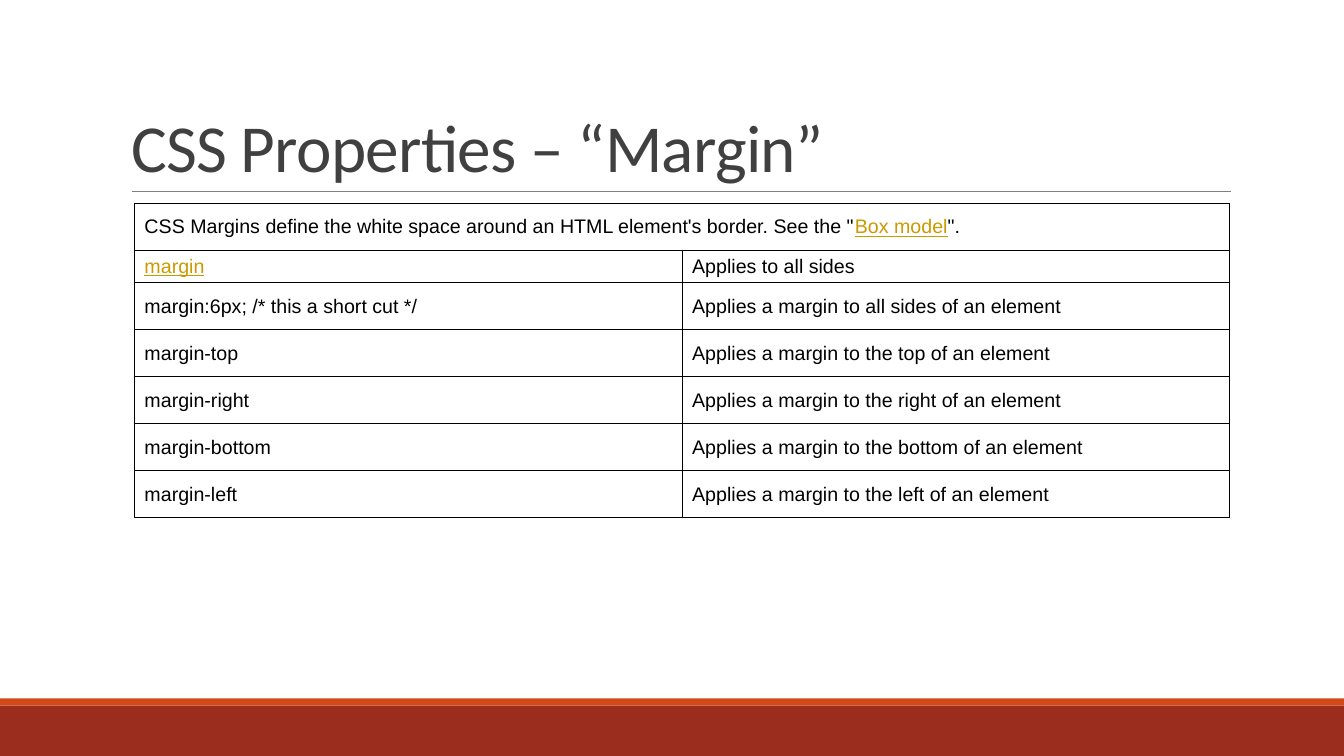
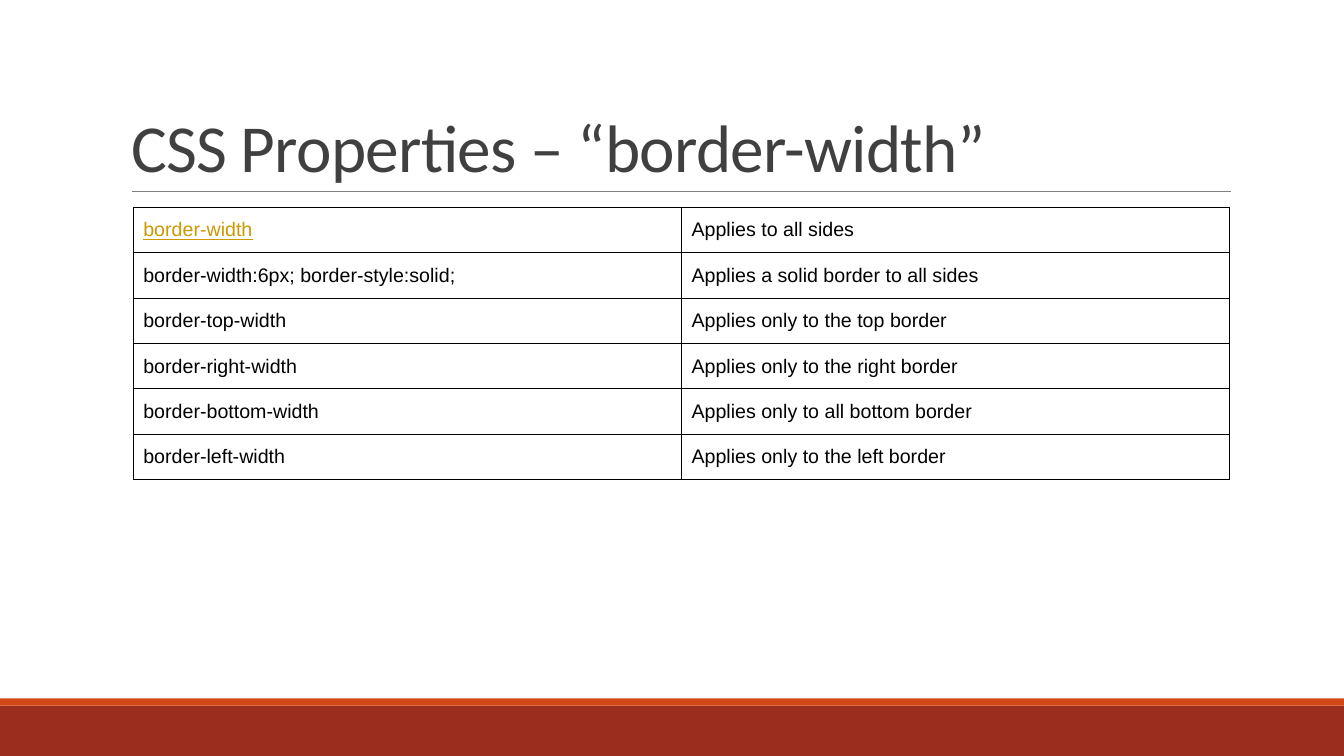
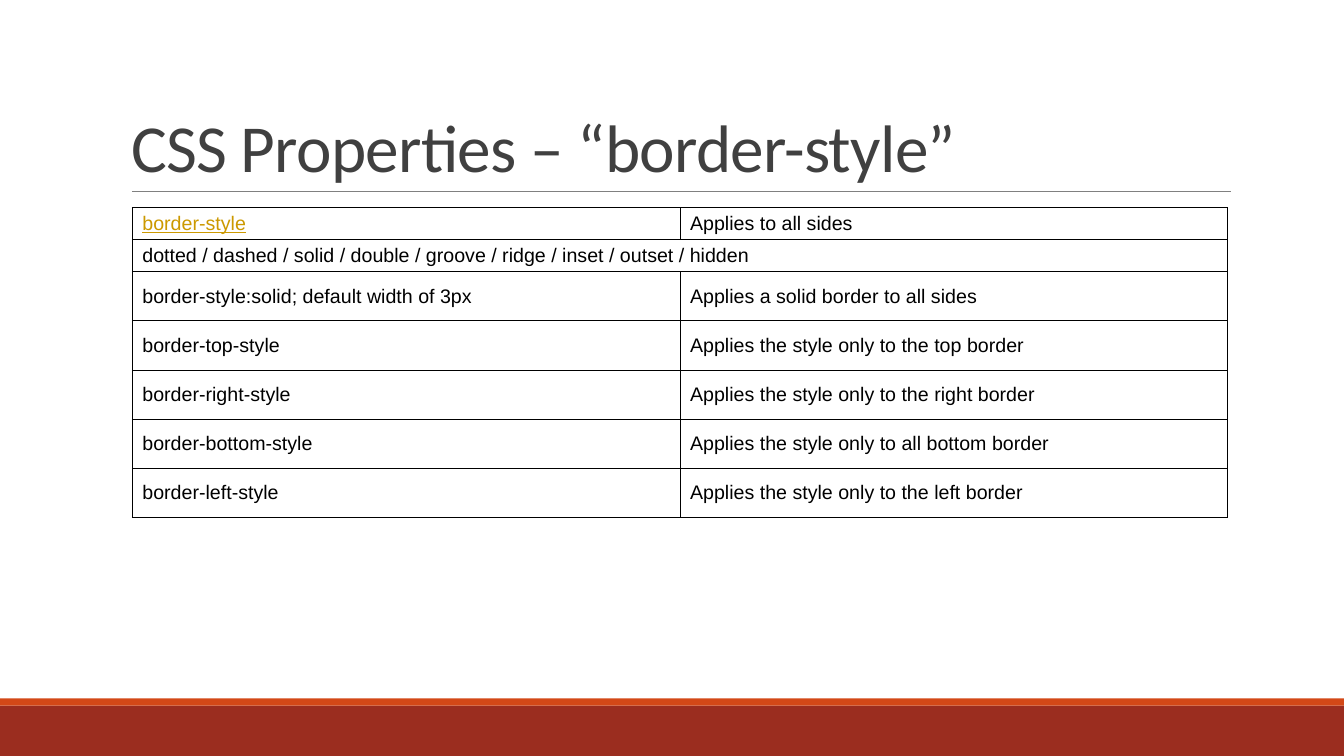
from dataclasses import dataclass
from typing import Optional

from lxml.etree import SubElement
from pptx import Presentation
from pptx.dml.color import RGBColor
from pptx.enum.shapes import MSO_CONNECTOR, MSO_SHAPE
from pptx.enum.text import MSO_ANCHOR, MSO_AUTO_SIZE, PP_ALIGN
from pptx.oxml.ns import qn
from pptx.slide import Slide
from pptx.table import Table, _Cell
from pptx.util import Pt

COLORS = {
    "page": "FFFFFF",
    "band": "9B2D1F",
    "stripe": "D34817",
    "rule": "808080",
    "title": "404040",
    "body": "000000",
    "link": "CC9900",
    "border": "000000",
}
SLIDE_WIDTH, SLIDE_HEIGHT = 960, 540
BAND_TOP, STRIPE_TOP = 504, 498.9
RULE_LEFT, RULE_RIGHT, RULE_TOP = 94.3, 879, 136.8
TITLE_BOX = {"left": 86.4, "top": 22.4, "width": 792, "height": 114.4}
TITLE_FRAME = {
    "word_wrap": True,
    "auto_size": MSO_AUTO_SIZE.NONE,
    "vertical_anchor": MSO_ANCHOR.BOTTOM,
}
TITLE_PARAGRAPH = {"alignment": PP_ALIGN.LEFT, "line_spacing": 0.85}
TITLE_FONT = {"name": "Calibri", "size": Pt(48), "bold": False}
TITLE_SPACING = "-50"  # hundredths of a point
BODY_FONT = {"name": "Arial", "size": Pt(14), "bold": False}
TABLE_FLAGS = {"first_row": False, "horz_banding": False}
BORDER_WIDTH = Pt(0.75)
LINK_MARK = "|"  # encloses the linked words of a cell


@dataclass(frozen=True)
class Row:
    """A property and its effect; without an effect the row is one wide cell."""
    usage: str
    effect: Optional[str]
    height: float


@dataclass(frozen=True)
class PropertyPage:
    """One slide about a CSS property."""
    topic: str
    left: float
    top: float
    width: float
    rows: list[Row]


def side_rows(name: str, effect: str, height: float,
              bottom: str = "the bottom") -> list[Row]:
    """Return the four rows for the sides of a box."""
    sides = {"top": "the top", "right": "the right",
             "bottom": bottom, "left": "the left"}
    return [Row(name.format(side), effect.format(phrase), height)
            for side, phrase in sides.items()]


PAGES = [
    PropertyPage("Margin", 96, 145.4, 782.4, [
        Row("CSS Margins define the white space around an HTML element's border. "
            'See the "|Box model|".', None, 33.6),
        Row("|margin|", "Applies to all sides", 22.5),
        Row("margin:6px; /* this a short cut */",
            "Applies a margin to all sides of an element", 33.6),
        *side_rows("margin-{}", "Applies a margin to {} of an element", 33.6),
    ]),
    PropertyPage("border-width", 95.2, 148.2, 783.2, [
        Row("|border-width|", "Applies to all sides", 32.4),
        Row("border-width:6px; border-style:solid;",
            "Applies a solid border to all sides", 32.4),
        *side_rows("border-{}-width", "Applies only to {} border", 32.4, "all bottom"),
    ]),
    PropertyPage("border-style", 94.5, 148.2, 782.4, [
        Row("|border-style|", "Applies to all sides", 22.5),
        Row("dotted / dashed / solid / double / groove / ridge / inset / outset / hidden",
            None, 22.5),
        Row("border-style:solid; default width of 3px",
            "Applies a solid border to all sides", 35.1),
        *side_rows("border-{}-style", "Applies the style only to {} border", 35.1,
                   "all bottom"),
    ]),
]


def color(role: str) -> RGBColor:
    """Return the colour of a role."""
    return RGBColor.from_string(COLORS[role])


def apply_format(target: object, values: dict) -> None:
    """Set each attribute named in values."""
    for attribute, value in values.items():
        setattr(target, attribute, value)


def draw_band(slide: Slide, top: float, bottom: float, role: str) -> None:
    """Draw a plain band across the slide."""
    band = slide.shapes.add_shape(MSO_SHAPE.RECTANGLE, 0, Pt(top),
                                  Pt(SLIDE_WIDTH), Pt(bottom - top))
    band.shadow.inherit = False
    band.fill.solid()
    band.fill.fore_color.rgb = color(role)
    band.line.fill.background()


def draw_frame(slide: Slide) -> None:
    """Draw the footer bands and the rule under the title."""
    draw_band(slide, BAND_TOP, SLIDE_HEIGHT, "band")
    draw_band(slide, STRIPE_TOP, BAND_TOP, "stripe")
    rule = slide.shapes.add_connector(MSO_CONNECTOR.STRAIGHT, Pt(RULE_LEFT), Pt(RULE_TOP),
                                      Pt(RULE_RIGHT), Pt(RULE_TOP))
    rule.line.width = Pt(0.5)
    rule.line.color.rgb = color("rule")
    SubElement(rule._element.spPr, qn("a:effectLst"))


def write_title(slide: Slide, topic: str) -> None:
    """Place and format the title."""
    title = slide.shapes.title
    apply_format(title, {side: Pt(length) for side, length in TITLE_BOX.items()})
    apply_format(title.text_frame, TITLE_FRAME)
    paragraph = title.text_frame.paragraphs[0]
    apply_format(paragraph, TITLE_PARAGRAPH)
    heading = paragraph.add_run()
    heading.text = f"CSS Properties – “{topic}”"
    apply_format(heading.font, TITLE_FONT)
    heading.font.color.rgb = color("title")
    heading._r.get_or_add_rPr().set("spc", TITLE_SPACING)


def format_cell(cell: _Cell) -> None:
    """Give a cell its borders, fill and anchor."""
    properties = cell._tc.get_or_add_tcPr()
    for edge in ("a:lnL", "a:lnR", "a:lnT", "a:lnB"):
        border = SubElement(properties, qn(edge), w=str(BORDER_WIDTH))
        paint = SubElement(border, qn("a:solidFill"))
        SubElement(paint, qn("a:srgbClr"), val=COLORS["border"])
    cell.fill.solid()
    cell.fill.fore_color.rgb = color("page")
    cell.vertical_anchor = MSO_ANCHOR.MIDDLE


def write_cell(cell: _Cell, text: str) -> None:
    """Write text, with marked words in link style."""
    paragraph = cell.text_frame.paragraphs[0]
    for index, part in enumerate(text.split(LINK_MARK)):
        if not part:
            continue
        linked = index % 2 == 1
        words = paragraph.add_run()
        words.text = part
        apply_format(words.font, {**BODY_FONT, "underline": linked})
        words.font.color.rgb = color("link" if linked else "body")


def fill_row(table: Table, index: int, row: Row) -> None:
    """Format and write one row."""
    table.rows[index].height = Pt(row.height)
    usage, effect = table.cell(index, 0), table.cell(index, 1)
    for cell in (usage, effect):
        format_cell(cell)
    write_cell(usage, row.usage)
    if row.effect is None:
        usage.merge(effect)
    else:
        write_cell(effect, row.effect)


def draw_table(slide: Slide, page: PropertyPage) -> None:
    """Draw the table of a property."""
    height = sum(row.height for row in page.rows)
    table = slide.shapes.add_table(len(page.rows), 2, Pt(page.left), Pt(page.top),
                                   Pt(page.width), Pt(height)).table
    apply_format(table, TABLE_FLAGS)
    for index, row in enumerate(page.rows):
        fill_row(table, index, row)


def main() -> None:
    """Build the slides and save them."""
    deck = Presentation()
    apply_format(deck, {"slide_width": Pt(SLIDE_WIDTH), "slide_height": Pt(SLIDE_HEIGHT)})
    title_only = deck.slide_layouts.get_by_name("Title Only")
    for page in PAGES:
        slide = deck.slides.add_slide(title_only)
        draw_frame(slide)
        write_title(slide, page.topic)
        draw_table(slide, page)
    deck.save("out.pptx")


main()
